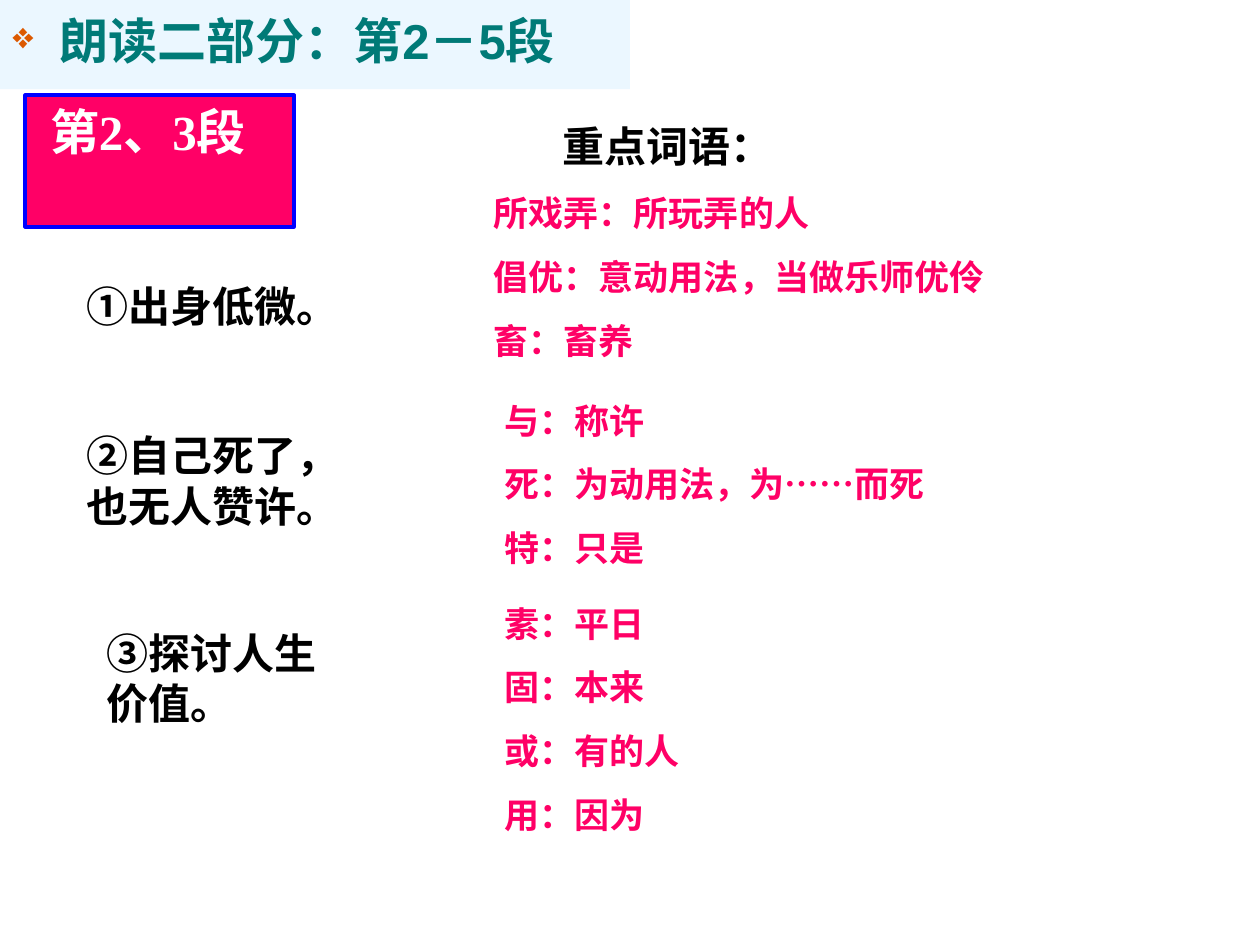
import pptx
import pptx.dml.color
import pptx.enum.shapes
import pptx.enum.text
import pptx.util
import lxml.etree
import pptx.oxml.ns

Pt = pptx.util.Pt
RGBColor = pptx.dml.color.RGBColor
TEAL = RGBColor(0x00, 0x7A, 0x77)
PALE_BLUE = RGBColor(0xEB, 0xF7, 0xFF)
ORANGE = RGBColor(0xDC, 0x59, 0x00)
PINK = RGBColor(0xFF, 0x00, 0x66)
BLUE = RGBColor(0x00, 0x00, 0xFF)
BLACK = RGBColor(0x00, 0x00, 0x00)
WHITE = RGBColor(0xFF, 0xFF, 0xFF)
SANS = "Noto Sans CJK SC"
SERIF = "Times New Roman"
LINE_RATIO = 1.2

# Left, top, width, height, text
POINTS = [
    (42.5, 157, 204.5, 36, "①出身低微。"),
    (42.5, 242, 164, 65, "②自己死了，也无人赞许。"),
    (54, 355, 142, 65, "③探讨人生价值。"),
]
# Left, top, height, entries
GLOSSARY = [
    (275, 106, 104.5, ["所戏弄：所玩弄的人", "倡优：意动用法，当做乐师优伶", "畜：畜养"]),
    (281, 224.5, 104.5, ["与：称许", "死：为动用法，为……而死", "特：只是"]),
    (281, 340.5, 141, ["素：平日", "固：本来", "或：有的人", "用：因为"]),
]


def apply(target, values):
    for name, value in values.items():
        setattr(target, name, value)


def add_child(parent, tag, **attributes):
    child = lxml.etree.SubElement(parent, pptx.oxml.ns.qn(tag))
    for name, value in attributes.items():
        child.set(name, value)
    return child


def write_lines(shape, lines, size, font, colour, gap=0):
    frame = shape.text_frame
    apply(frame, {
        "word_wrap": True,
        "vertical_anchor": pptx.enum.text.MSO_ANCHOR.TOP,
        "margin_left": Pt(7.2), "margin_right": Pt(7.2),
        "margin_top": Pt(3.6), "margin_bottom": Pt(3.6),
    })
    for index, line in enumerate(lines):
        paragraph = frame.paragraphs[0] if index == 0 else frame.add_paragraph()
        apply(paragraph, {
            "alignment": pptx.enum.text.PP_ALIGN.LEFT,
            "line_spacing": Pt(size * LINE_RATIO),
            "space_before": Pt(gap if index else 0),
        })
        run = paragraph.add_run()
        run.text = line
        apply(run.font, {"size": Pt(size), "name": font, "bold": True})
        run.font.color.rgb = colour
        add_child(run.font._element, "a:ea", typeface=SANS)


def add_heading(slide, text):
    heading = slide.shapes.title
    apply(heading, {"left": 0, "top": 0, "width": Pt(360), "height": Pt(51)})
    heading.fill.solid()
    heading.fill.fore_color.rgb = PALE_BLUE
    write_lines(heading, [text], 28, "Arial", TEAL)
    heading.text_frame.margin_top = Pt(6)
    # Hanging diamond bullet
    properties = heading.text_frame.paragraphs[0]._p.get_or_add_pPr()
    properties.set("marL", str(Pt(27)))
    properties.set("indent", str(-Pt(27)))
    add_child(add_child(properties, "a:buClr"), "a:srgbClr", val=str(ORANGE))
    add_child(properties, "a:buSzPct", val="75000")
    add_child(properties, "a:buChar", char="❖")


def add_text(slide, left, top, width, height, lines, size, font, colour, gap=0):
    box = slide.shapes.add_textbox(Pt(left), Pt(top), Pt(width), Pt(height))
    write_lines(box, lines, size, font, colour, gap)


def add_section_label(slide, text):
    label = slide.shapes.add_shape(
        pptx.enum.shapes.MSO_SHAPE.RECTANGLE, Pt(14.5), Pt(54.5), Pt(153.5), Pt(75))
    label.shadow.inherit = False
    label.fill.solid()
    label.fill.fore_color.rgb = PINK
    label.line.color.rgb = BLUE
    label.line.width = Pt(2.25)
    write_lines(label, [text], 28, SERIF, WHITE)
    label.text_frame.paragraphs[0]._p.get_or_add_pPr().set("indent", str(Pt(7)))


def main():
    presentation = pptx.Presentation()
    apply(presentation, {"slide_width": Pt(720), "slide_height": Pt(540)})
    slide = presentation.slides.add_slide(presentation.slide_layouts[5])

    add_heading(slide, "朗读二部分：第2－5段")
    # Key words with their meanings
    add_text(slide, 314.5, 65.5, 204.5, 36, ["重点词语："], 24, SERIF, BLACK)
    for left, top, height, entries in GLOSSARY:
        add_text(slide, left, top, 312, height, entries, 20, SANS, PINK, 12.5)
    # Main points of the passage
    for left, top, width, height, point in POINTS:
        add_text(slide, left, top, width, height, [point], 24, SANS, BLACK)
    add_section_label(slide, "第2、3段")

    presentation.save("out.pptx")


if __name__ == "__main__":
    main()
